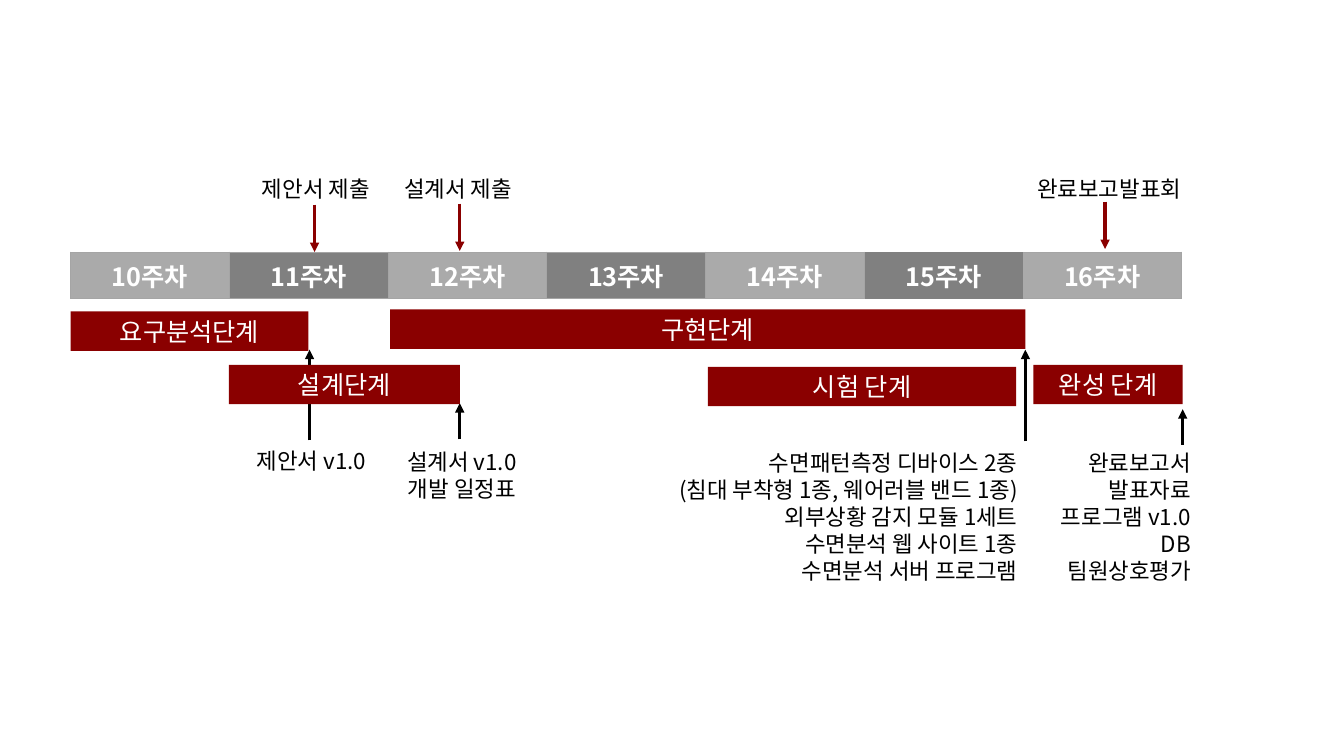
from dataclasses import dataclass
from lxml.etree import SubElement
from pptx import Presentation
from pptx.dml.color import RGBColor as RGB
from pptx.enum.shapes import MSO_CONNECTOR as CONN, MSO_SHAPE as SHAPE
from pptx.enum.text import MSO_ANCHOR as ANCHOR, MSO_AUTO_SIZE as AUTO, PP_ALIGN as AL
from pptx.oxml.ns import qn
from pptx.util import Inches, Pt


@dataclass(frozen=True)
class Theme:
    font: str = "Noto Sans CJK KR"
    red: str = "8A0000"
    black: str = "000000"
    white: str = "FFFFFF"
    light: str = "AAAAAA"
    dark: str = "808080"
    border: str = "A5A5A5"
    bar_size: int = 18
    note_size: int = 16


theme = Theme()


def write(tf, text, size, color, aligns, bold=False):
    tf.text = text
    fmt = {"name": theme.font, "size": Pt(size), "bold": bold}
    for p, align in zip(tf.paragraphs, aligns):
        p.alignment = align
        for br in p._p.iter(qn("a:br")):
            SubElement(br, qn("a:rPr"), sz=str(size * 100))
        for r in p.runs:
            for key, value in fmt.items():
                setattr(r.font, key, value)
            r.font.color.rgb = RGB.from_string(color)
            latin = r._r.rPr.find(qn("a:latin"))
            latin.addnext(latin.makeelement(qn("a:ea"), typeface=theme.font))


prs = Presentation()
prs.slide_width, prs.slide_height = Inches(13.33), Inches(7.5)
s = prs.slides.add_slide(prs.slide_layouts[6])

weeks = range(10, 17)
gf = s.shapes.add_table(1, len(weeks), Inches(0.7), Inches(2.5), Inches(11.02), Inches(0.46))
tbl = gf.table
tbl.first_row = tbl.horz_banding = False
tbl._tbl.tblPr.find(qn("a:tableStyleId")).text = "{2D5ABB26-0587-4C30-8999-92F81FD0307C}"
borders = ["LRTB"] * 4 + ["LTB", "", "RTB"]
for i, (week, sides) in enumerate(zip(weeks, borders)):
    tbl.columns[i].width = Inches(11.02 / len(weeks))
    cell = tbl.cell(0, i)
    cell.vertical_anchor = ANCHOR.MIDDLE
    write(cell.text_frame, f"{week}주차", theme.bar_size, theme.white, [AL.CENTER], bold=True)
    for side in sides:
        ln = SubElement(cell._tc.get_or_add_tcPr(), qn(f"a:ln{side}"), w=str(Pt(0.5)))
        SubElement(SubElement(ln, qn("a:solidFill")), qn("a:srgbClr"), val=theme.border)
    cell.fill.solid()
    cell.fill.fore_color.rgb = RGB.from_string(theme.dark if i % 2 else theme.light)

arrows = [
    (3.07, 4.37, 3.47, theme.black),
    (4.56, 4.36, 4, theme.black),
    (10.17, 4.38, 3.47, theme.black),
    (11.73, 4.41, 4.06, theme.black),
    (3.12, 2.03, 2.5, theme.red),
    (4.56, 2.02, 2.49, theme.red),
    (10.96, 2, 2.47, theme.red),
]
for x, start, end, color in arrows:
    c = s.shapes.add_connector(CONN.STRAIGHT, Inches(x), Inches(start), Inches(x), Inches(end))
    c.line.width = Pt(2.25)
    c.line.color.rgb = RGB.from_string(color)
    SubElement(c.line._get_or_add_ln(), qn("a:tailEnd"), type="triangle")
    SubElement(c._element.spPr, qn("a:effectLst"))

phases = [
    ("요구분석단계", 0.7, 3.09, 2.36),
    ("설계단계", 2.27, 3.62, 2.29),
    ("구현단계", 3.87, 3.07, 6.3),
    ("완성 단계", 10.25, 3.62, 1.48),
    ("시험 단계", 7.02, 3.64, 3.06),
]
for name, x, y, w in phases:
    sp = s.shapes.add_shape(SHAPE.RECTANGLE, Inches(x), Inches(y), Inches(w), Inches(0.39))
    sp.shadow.inherit = False
    sp.fill.solid()
    sp.fill.fore_color.rgb = RGB.from_string(theme.red)
    sp.line.fill.background()
    sp.text_frame.vertical_anchor = ANCHOR.MIDDLE
    write(sp.text_frame, name, theme.bar_size, theme.white, [AL.CENTER])

devices = (
    "수면패턴측정 디바이스 2종\v(침대 부착형 1종, 웨어러블 밴드 1종)\n"
    "외부상황 감지 모듈 1세트\n수면분석 웹 사이트 1종\n수면분석 서버 프로그램"
)
reports = "완료보고서\n발표자료\n프로그램 v1.0\nDB\n팀원상호평가"
notes = [
    ("제안서 v1.0", 2.45, 4.39, 1.36, 0.37, [AL.LEFT], False),
    ("설계서 v1.0\n개발 일정표", 3.94, 4.4, 1.42, 0.64, [AL.LEFT, AL.CENTER], False),
    (devices, 6.37, 4.41, 3.82, 1.45, [AL.RIGHT] * 4, True),
    (reports, 10.33, 4.41, 1.58, 1.45, [AL.RIGHT] * 5, False),
    ("제안서 제출", 2.5, 1.69, 1.36, 0.37, [AL.LEFT], False),
    ("설계서 제출", 3.91, 1.69, 1.36, 0.37, [AL.LEFT], False),
    ("완료보고발표회", 10.19, 1.69, 1.72, 0.37, [AL.LEFT], False),
]
for text, x, y, w, h, aligns, wrap in notes:
    tf = s.shapes.add_textbox(Inches(x), Inches(y), Inches(w), Inches(h)).text_frame
    tf.word_wrap = wrap
    tf.auto_size = AUTO.SHAPE_TO_FIT_TEXT
    write(tf, text, theme.note_size, theme.black, aligns)

prs.save("out.pptx")
